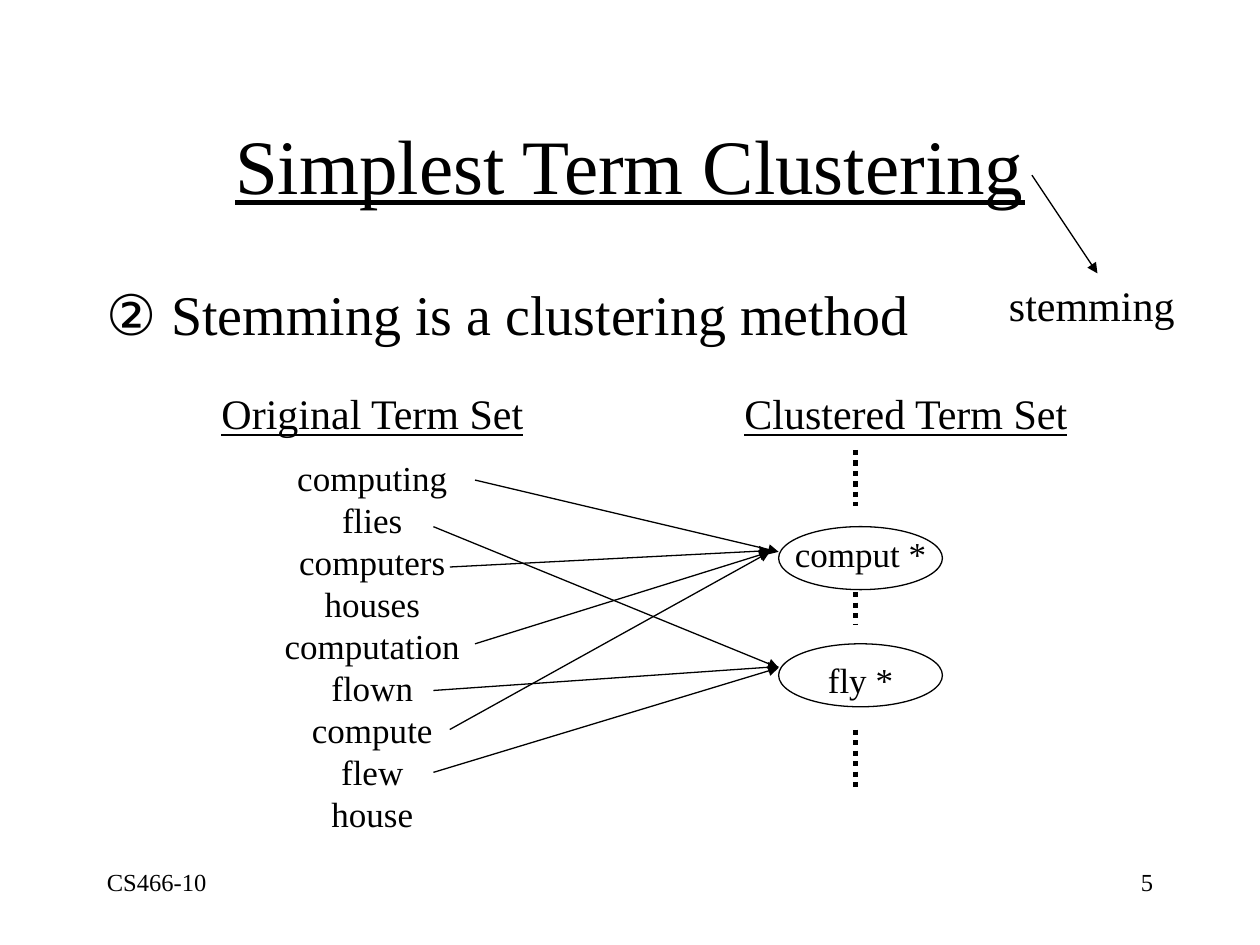
from lxml import etree
from pptx import Presentation
from pptx.dml.color import RGBColor
from pptx.enum.dml import MSO_LINE
from pptx.enum.shapes import MSO_CONNECTOR, MSO_SHAPE
from pptx.enum.text import MSO_ANCHOR, PP_ALIGN
from pptx.oxml.ns import qn
from pptx.util import Inches, Pt

LEFT, CENTER, RIGHT = PP_ALIGN.LEFT, PP_ALIGN.CENTER, PP_ALIGN.RIGHT
TOP, MIDDLE = MSO_ANCHOR.TOP, MSO_ANCHOR.MIDDLE
STRAIGHT = MSO_CONNECTOR.STRAIGHT
ELLIPSE = MSO_SHAPE.OVAL
DOTTED = MSO_LINE.ROUND_DOT

COLORS = {"ink": "000000", "paper": "FFFFFF"}
FONT = "Times New Roman"
SYMBOL_FONT = "Arial"

TERMS = ["computing", "flies", "computers", "houses", "computation",
         "flown", "compute", "flew", "house"]
CLUSTERS = [
    ("comput *", 4.18, 4.18),
    ("fly *", 5.11, 5.18),
]
TERM_ARROWS = [
    ((3.77, 3.81), (6.18, 4.38)),
    ((3.44, 4.18), (6.18, 5.3)),
    ((3.57, 4.5), (6.11, 4.37)),
    ((3.77, 5.11), (6.11, 4.38)),
    ((3.57, 5.79), (6.11, 4.38)),
    ((3.44, 5.48), (6.18, 5.29)),
    ((3.44, 6.13), (6.18, 5.3)),
]
TITLE_ARROW = ((8.19, 1.39), (8.71, 2.17))
DOTS_X = 6.79
DOTS = [(3.57, 4.02), (4.7, 4.96), (5.79, 6.25)]


def color(name):
    return RGBColor.from_string(COLORS[name])


def add_text(page, lines, place, size, align=LEFT, anchor=TOP,
             underline=False, wrap=True):
    box = page.shapes.add_textbox(*map(Inches, place))
    frame = box.text_frame
    frame.word_wrap = wrap
    frame.vertical_anchor = anchor
    frame.text = "\n".join(lines)
    for para in frame.paragraphs:
        para.alignment = align
        para.font.name = FONT
        para.font.size = Pt(size)
        para.font.underline = underline
        para.font.color.rgb = color("ink")
    return box


def add_point(page, symbol, text, place, size):
    box = add_text(page, [symbol], place, size)
    para = box.text_frame.paragraphs[0]
    properties = para._p.get_or_add_pPr()
    properties.set("marL", str(Inches(0.67)))
    properties.set("indent", str(-Inches(0.67)))
    para.runs[0].font.name = SYMBOL_FONT
    span = para.add_run()
    span.text = text


def add_line(page, start, end, width=0.75):
    line = page.shapes.add_connector(STRAIGHT, *map(Inches, start + end))
    line.line.color.rgb = color("ink")
    line.line.width = Pt(width)
    etree.SubElement(line._element.spPr, qn("a:effectLst"))
    return line


def add_arrow(page, start, end):
    arrow = add_line(page, start, end)
    outline = arrow.line._get_or_add_ln()
    etree.SubElement(outline, qn("a:tailEnd"), type="triangle")


def add_dots(page, top, bottom):
    dots = add_line(page, (DOTS_X, top), (DOTS_X, bottom), 3)
    dots.line.dash_style = DOTTED


def add_cluster(page, label, oval_top, label_top):
    oval = page.shapes.add_shape(
        ELLIPSE, *map(Inches, (6.18, oval_top, 1.3, 0.5)))
    oval.shadow.inherit = False
    oval.fill.background()
    oval.line.color.rgb = color("ink")
    oval.line.width = Pt(0.75)
    add_text(page, [label], (6.21, label_top, 1.24, 0.43), 20, CENTER,
             wrap=False)


def main():
    deck = Presentation()
    deck.slide_width, deck.slide_height = Inches(10), Inches(7.5)
    page = deck.slides.add_slide(deck.slide_layouts[6])
    page.background.fill.solid()
    page.background.fill.fore_color.rgb = color("paper")

    add_text(page, ["Simplest Term Clustering"], (0.75, 0.67, 8.5, 1.25), 44,
             CENTER, MIDDLE, underline=True)
    add_point(page, "②", " Stemming is a clustering method",
              (0.75, 2.17, 8.5, 0.7), 32)
    add_text(page, ["stemming"], (7.91, 2.17, 1.6, 0.5), 24, wrap=False)
    add_arrow(page, *TITLE_ARROW)

    for heading, left, width in [("Original Term Set", 1.66, 2.7),
                                 ("Clustered Term Set", 5.81, 2.85)]:
        add_text(page, [heading], (left, 3.03, width, 0.5), 24,
                 underline=True, wrap=False)
    add_text(page, TERMS, (2.16, 3.57, 1.59, 3.1), 20, CENTER, wrap=False)

    for cluster in CLUSTERS:
        add_cluster(page, *cluster)
    for start, end in TERM_ARROWS:
        add_arrow(page, start, end)
    for top, bottom in DOTS:
        add_dots(page, top, bottom)

    add_text(page, ["5"], (7.17, 6.83, 2.08, 0.5), 14, RIGHT)
    add_text(page, ["CS466-10"], (0.75, 6.83, 2.08, 0.5), 14)
    deck.save("out.pptx")


if __name__ == "__main__":
    main()
